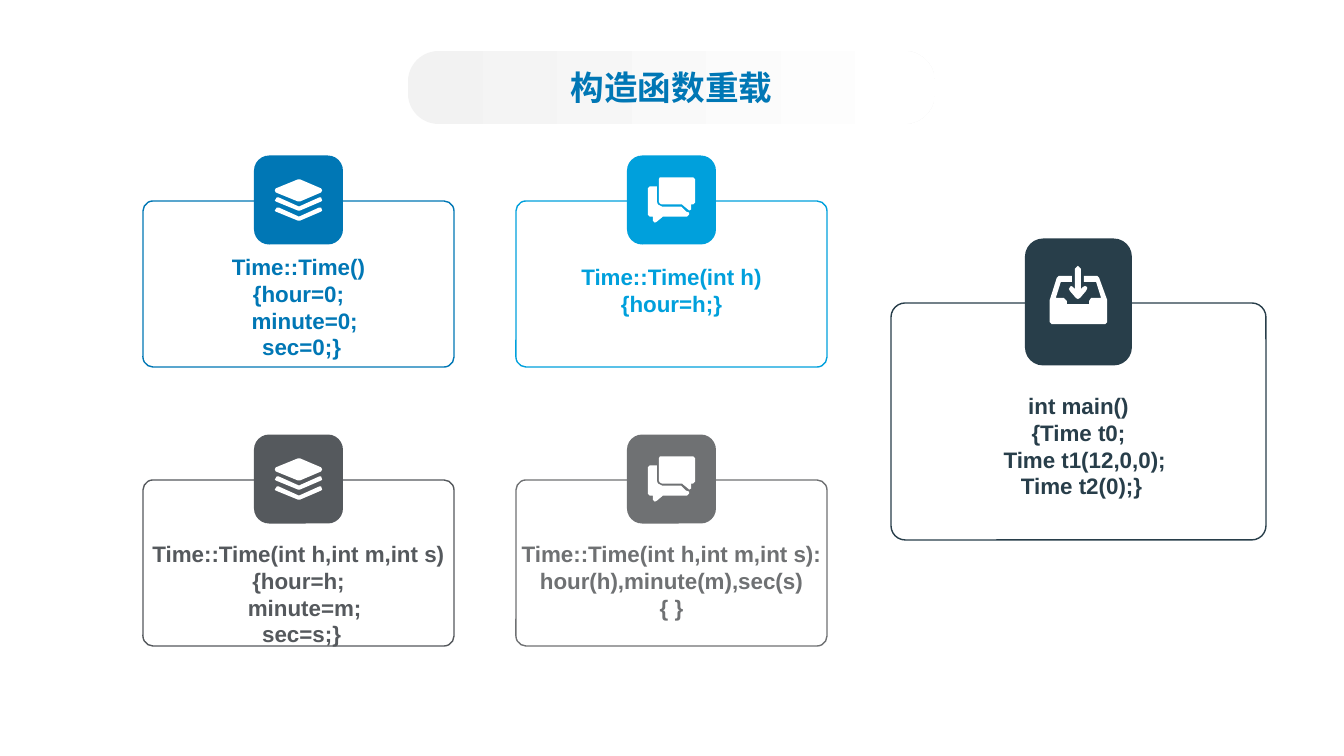
import pptx
import pptx.util
import pptx.dml.color
import pptx.enum.shapes
import pptx.enum.text
import pptx.oxml.ns
from lxml import etree

PX = 914400 / 100.8          # EMU in one px
ICON_UNIT = 9144             # icon outlines are in hundredths of an inch

TITLE = "构造函数重载"
TITLE_COLOUR = "0077B5"

# Icon outlines: lists of closed contours
SHEET = [(46, 13), (25, 22), (23, 22), (1, 13), (0, 11), (1, 9),
         (23, 0), (25, 0), (46, 9), (47, 11)]
BAND = [(46, 22), (25, 31), (23, 31), (1, 22), (0, 21), (2, 18),
        (4, 18), (24, 27), (44, 18), (46, 18), (47, 21)]
LAYERS = [SHEET, BAND, [(x, y + 10) for x, y in BAND]]
CHAT = [
    [(45, 27), (43, 27), (43, 32), (41, 33), (40, 32), (34, 27), (14, 27),
     (12, 26), (11, 24), (11, 2), (12, 0), (45, 0), (47, 2), (47, 25)],
    [(33, 29), (38, 34), (41, 35), (41, 37), (39, 39), (15, 39), (9, 44),
     (7, 45), (5, 43), (5, 39), (2, 39), (0, 37), (0, 11), (2, 9),
     (9, 9), (9, 24), (10, 27), (14, 29)],
]
INBOX = [
    [(55, 58), (2, 58), (0, 56), (0, 34), (7, 12), (9, 10), (22, 10),
     (22, 16), (11, 16), (6, 32), (14, 32), (17, 35), (17, 38), (39, 38),
     (39, 35), (41, 32), (51, 32), (46, 16), (34, 16), (34, 10), (47, 10),
     (49, 12), (57, 34), (57, 56)],
    [(37, 23), (36, 25), (30, 32), (28, 33), (26, 32), (20, 25), (19, 23),
     (21, 20), (23, 21), (25, 23), (25, 3), (28, 0), (31, 3), (31, 23),
     (33, 21), (35, 20), (37, 21)],
]

# Cards: colour, frame, badge size, icon, icon lift, text top, text height, code
COLUMNS, ROWS = (143, 516), (201, 480)
CARD, BADGE = (311, 166), (89, 89)
CARDS = [
    ("0077B5", (COLUMNS[0], ROWS[0], *CARD), BADGE, LAYERS, 0, 253, 113,
     ["Time::Time()", "{hour=0;", "  minute=0;", " sec=0;}"]),
    ("00A0DC", (COLUMNS[1], ROWS[0], *CARD), BADGE, CHAT, 0, 263, 89,
     ["Time::Time(int h)", "{hour=h;}"]),
    ("283E4A", (891, 303, 375, 237), (107, 127), INBOX, 7, 392, 148,
     ["int main()", "{Time t0;", "  Time t1(12,0,0);", "  Time t2(0);} "]),
    ("55595D", (COLUMNS[0], ROWS[1], *CARD), BADGE, LAYERS, 0, 540, 106,
     ["Time::Time(int h,int m,int s)", "{hour=h;", "  minute=m;", " sec=s;}"]),
    ("6F7173", (COLUMNS[1], ROWS[1], *CARD), BADGE, CHAT, 0, 540, 76,
     ["Time::Time(int h,int m,int s):", "hour(h),minute(m),sec(s)", "{ }"]),
]

deck = pptx.Presentation()
deck.slide_width, deck.slide_height = round(1344 * PX), round(756 * PX)
slide = deck.slides.add_slide(deck.slide_layouts[6])


def emu(*lengths):
    return [round(length * PX) for length in lengths]


def colour(hex_code):
    return pptx.dml.color.RGBColor.from_string(hex_code)


def paint(shape, fill=None, line=None):
    shape.shadow.inherit = False
    if fill:
        shape.fill.solid()
        shape.fill.fore_color.rgb = colour(fill)
    else:
        shape.fill.background()
    if line:
        shape.line.color.rgb = colour(line)
        shape.line.width = pptx.util.Pt(1)
    else:
        shape.line.fill.background()


def rounded(box, corner):
    shape = slide.shapes.add_shape(
        pptx.enum.shapes.MSO_SHAPE.ROUNDED_RECTANGLE, *emu(*box))
    shape.adjustments[0] = corner
    return shape


def style(paragraph, size, font, hex_code):
    paragraph.alignment = pptx.enum.text.PP_ALIGN.CENTER
    for run in paragraph.runs:
        run.font.size = pptx.util.Pt(size)
        run.font.bold = True
        run.font.name = font
        run.font.color.rgb = colour(hex_code)
        east_asian = etree.SubElement(run.font._element, pptx.oxml.ns.qn("a:ea"))
        east_asian.set("typeface", font)


def draw_icon(contours, centre_x, centre_y):
    points = [point for contour in contours for point in contour]
    width, height = (max(axis) for axis in zip(*points))
    builder = slide.shapes.build_freeform(*contours[0][0], scale=ICON_UNIT)
    for number, contour in enumerate(contours):
        if number:
            builder.move_to(*contour[0])
        builder.add_line_segments(contour[1:], close=True)
    left, top = emu(centre_x, centre_y)
    icon = builder.convert_to_shape(left - width * ICON_UNIT // 2,
                                    top - height * ICON_UNIT // 2)
    paint(icon, fill="FFFFFF")


# Cards: frame, badge centred on its top edge, icon, code
for hex_code, frame, badge, icon, lift, text_top, text_height, code in CARDS:
    left, top, width, height = frame
    centre_x = left + width / 2
    paint(rounded(frame, 0.06), line=hex_code)
    badge_box = (centre_x - badge[0] / 2, top - 1 - badge[1] / 2, *badge)
    paint(rounded(badge_box, 0.17), fill=hex_code)
    draw_icon(icon, centre_x, top - 1 - lift)

    # The code spans the whole frame, so its longest line fits
    code_box = slide.shapes.add_textbox(
        *emu(left, text_top, width, text_height))
    code_text = code_box.text_frame
    code_text.word_wrap = False
    code_text.margin_left = code_text.margin_right = 0
    code_text.margin_top = code_text.margin_bottom = 0
    code_text.text = "\n".join(code)
    for paragraph in code_text.paragraphs:
        style(paragraph, 16, "Arial", hex_code)

# Title on a fading bar
title_bar = rounded((408, 51, 527, 73), 0.42)
paint(title_bar)
title_bar.fill.gradient()
title_bar.fill.gradient_angle = 0
for stop, (position, hex_code) in zip(title_bar.fill.gradient_stops,
                                      [(0, "F2F2F2"), (0.99, "FFFFFF")]):
    stop.position = position
    stop.color.rgb = colour(hex_code)
title_bar.text_frame.text = TITLE
title_bar.text_frame.vertical_anchor = pptx.enum.text.MSO_ANCHOR.MIDDLE
style(title_bar.text_frame.paragraphs[0], 24, "Noto Sans CJK SC", TITLE_COLOUR)

deck.save("out.pptx")
